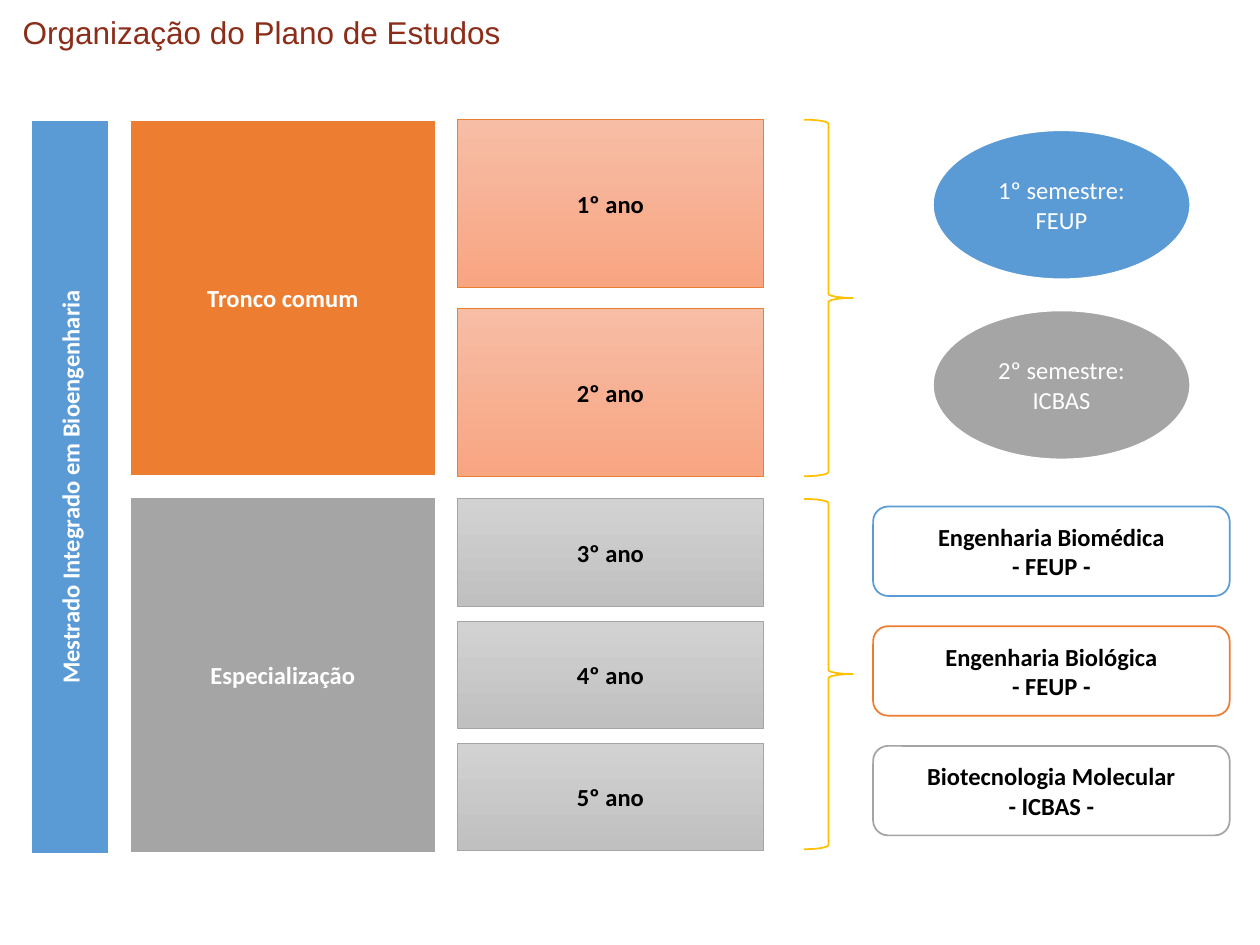
from pptx import Presentation
from pptx.dml.color import RGBColor
from pptx.enum.shapes import MSO_SHAPE
from pptx.enum.text import MSO_ANCHOR, MSO_AUTO_SIZE, PP_ALIGN
from pptx.util import Inches, Pt

COLORS = {
    "title": "8C2D19",
    "blue": "5B9BD5",
    "orange": "ED7D31",
    "gray": "A5A5A5",
    "gold": "FFC000",
    "white": "FFFFFF",
    "black": "000000",
    "orange_light": "F7BDA5",
    "orange_deep": "F8A582",
    "gray_light": "D2D2D2",
    "gray_deep": "C0C0C0",
}
YEAR_LEFT, COLUMN_WIDTH = 3.63, 2.43


def rgb(name):
    return RGBColor.from_string(COLORS[name])


def add_title(slide, text):
    title = slide.shapes.title
    title.left, title.top = Inches(0.08), Inches(0)
    title.width, title.height = Inches(7.84), Inches(0.42)
    frame = title.text_frame
    frame.text = text
    frame.auto_size = MSO_AUTO_SIZE.NONE
    frame.vertical_anchor = MSO_ANCHOR.TOP
    frame.margin_left = frame.margin_right = Inches(0.1)
    frame.margin_top = frame.margin_bottom = Inches(0.1)
    heading = frame.paragraphs[0]
    heading.alignment = PP_ALIGN.LEFT
    heading.font.name = "Arial"
    heading.font.size = Pt(18)
    heading.font.color.rgb = rgb("title")


def add_outline(slide, preset, box, line, weight):
    outline = slide.shapes.add_shape(preset, *map(Inches, box))
    outline.shadow.inherit = False
    outline.fill.background()
    outline.line.color.rgb = rgb(line)
    outline.line.width = Pt(weight)
    return outline


def write_label(block, text, color, bold):
    frame = block.text_frame
    frame.text = text
    frame.word_wrap = True
    frame.vertical_anchor = MSO_ANCHOR.MIDDLE
    for paragraph in frame.paragraphs:
        paragraph.alignment = PP_ALIGN.CENTER
        paragraph.font.name = "Calibri"
        paragraph.font.size = Pt(14)
        paragraph.font.bold = bold
        paragraph.font.color.rgb = rgb(color)


def add_block(slide, text, box, fill, preset=MSO_SHAPE.RECTANGLE, bold=True):
    block = add_outline(slide, preset, box, "white", 1.5)
    block.fill.solid()
    block.fill.fore_color.rgb = rgb(fill)
    write_label(block, text, "white", bold)
    return block


def add_year(slide, number, top, height, hue):
    box = (YEAR_LEFT, top, COLUMN_WIDTH, height)
    year = add_outline(slide, MSO_SHAPE.RECTANGLE, box, hue, 0.5)
    year.fill.gradient()
    year.fill.gradient_angle = 270
    for stop, shade in zip(year.fill.gradient_stops, ("light", "deep")):
        stop.color.rgb = rgb(f"{hue}_{shade}")
    write_label(year, f"{number}º ano", "black", True)


def add_branch(slide, text, top, line):
    box = (6.93, top, 2.83, 0.71)
    branch = add_outline(slide, MSO_SHAPE.ROUNDED_RECTANGLE, box, line, 1)
    branch.fill.solid()
    branch.fill.fore_color.rgb = rgb("white")
    write_label(branch, text, "black", True)


def main():
    deck = Presentation()
    deck.slide_width, deck.slide_height = Inches(10), Inches(7.5)
    slide = deck.slides.add_slide(deck.slide_layouts[5])
    add_title(slide, "Organização do Plano de Estudos")

    degree = add_block(slide, "Mestrado Integrado em Bioengenharia",
                       (0.24, 0.95, 0.63, 5.83), "blue")
    degree.element.txBody.bodyPr.set("vert", "vert270")

    for stage, top, fill in (("Tronco comum", 0.95, "orange"),
                             ("Especialização", 3.94, "gray")):
        add_block(slide, stage, (1.03, top, COLUMN_WIDTH, 2.83), fill)

    for index in range(2):
        add_year(slide, index + 1, 0.95 + 1.5 * index, 1.33, "orange")
    for index in range(3):
        add_year(slide, index + 3, 3.96 + 0.97 * index, 0.85, "gray")

    for top, height in ((0.95, 2.83), (3.96, 2.78)):
        add_outline(slide, MSO_SHAPE.RIGHT_BRACE, (6.38, top, 0.39, height), "gold", 1)

    for semester, top, fill in (("1º semestre: FEUP", 1.03, "blue"),
                                ("2º semestre: ICBAS", 2.46, "gray")):
        add_block(slide, semester, (7.4, top, 2.05, 1.19), fill,
                  MSO_SHAPE.OVAL, bold=False)

    branches = (("Engenharia Biomédica\n- FEUP -", "blue"),
                ("Engenharia Biológica\n- FEUP -", "orange"),
                ("Biotecnologia Molecular\n- ICBAS -", "gray"))
    for index, (branch, line) in enumerate(branches):
        add_branch(slide, branch, 4.02 + 0.95 * index, line)

    deck.save("out.pptx")


if __name__ == "__main__":
    main()
